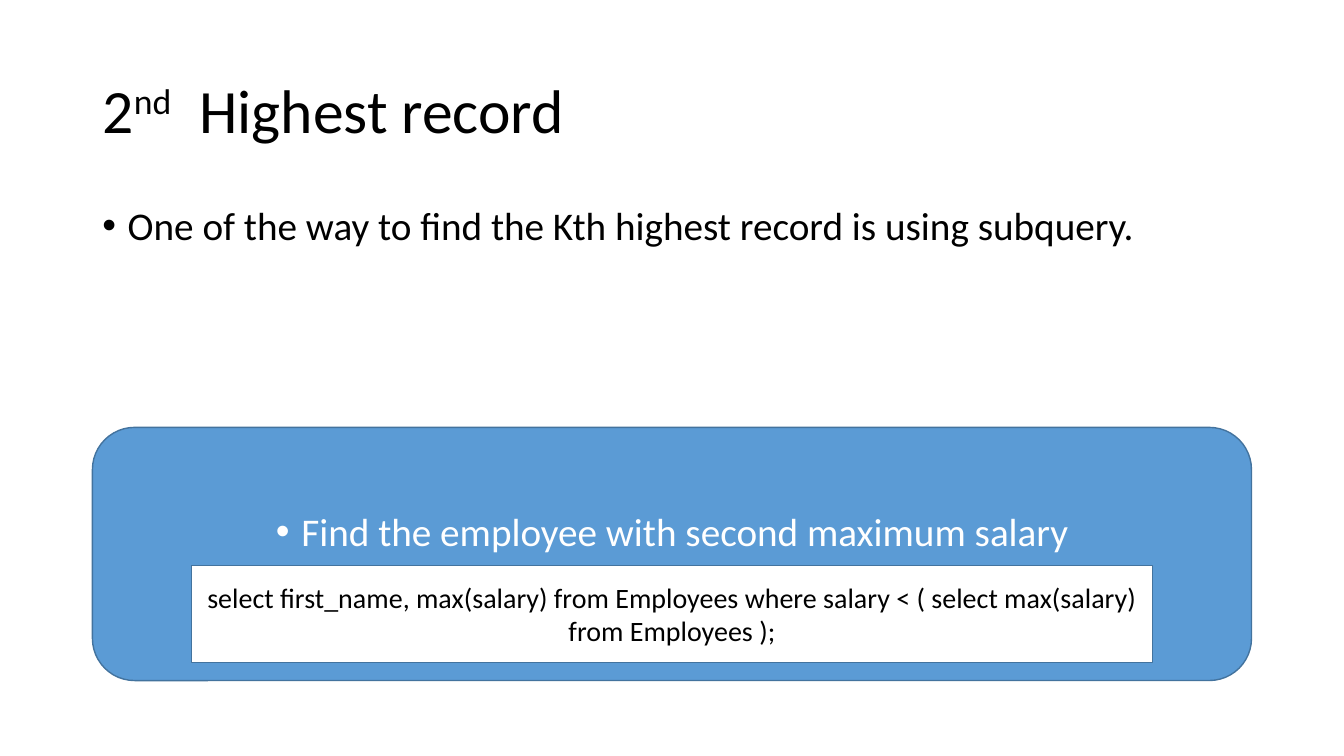
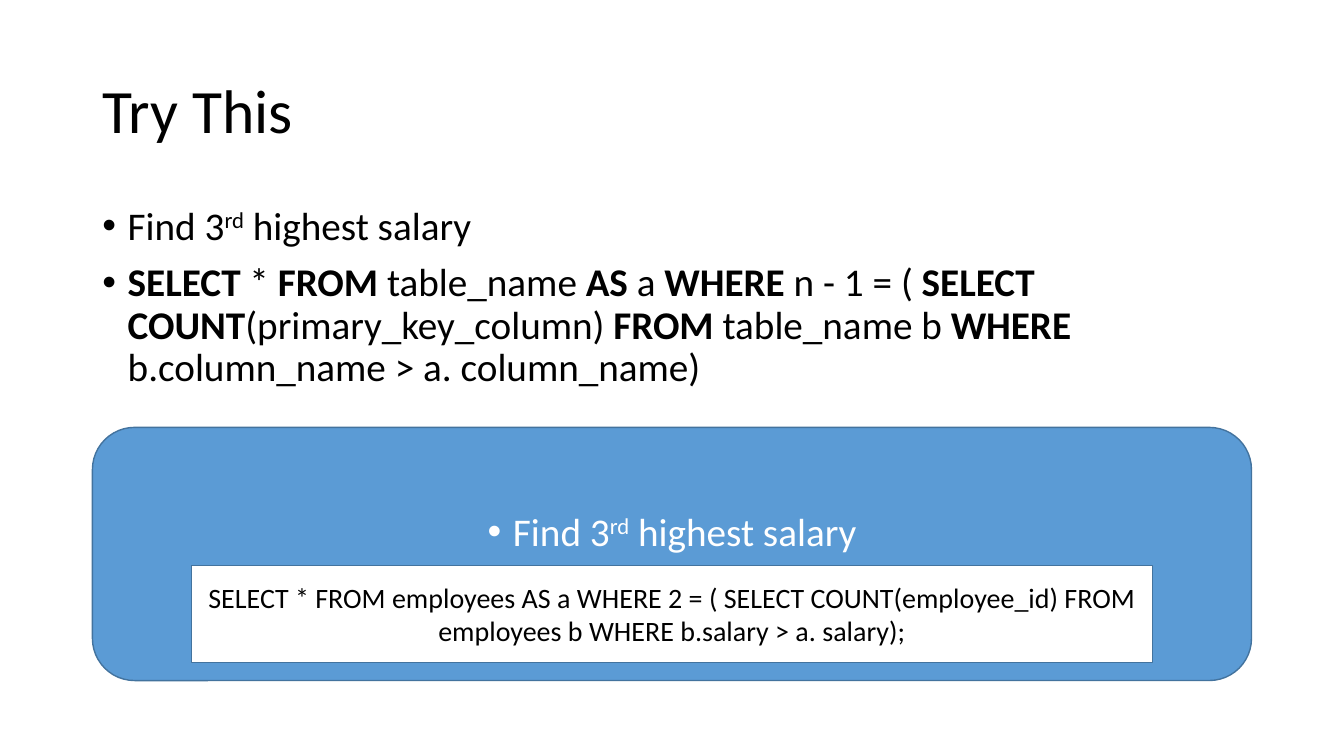
from dataclasses import dataclass
from typing import NamedTuple

from lxml.etree import SubElement
from pptx import Presentation
from pptx.dml.color import RGBColor
from pptx.enum.shapes import MSO_SHAPE as Preset
from pptx.enum.text import MSO_ANCHOR as Anchor, MSO_AUTO_SIZE as AutoSize, PP_ALIGN as Align
from pptx.oxml.ns import qn
from pptx.util import Cm, Pt


@dataclass(frozen=True)
class Theme:
    font: str = "Calibri"
    ink: RGBColor = RGBColor(0x00, 0x00, 0x00)
    paper: RGBColor = RGBColor(0xFF, 0xFF, 0xFF)
    accent: RGBColor = RGBColor(0x5B, 0x9B, 0xD5)
    outline: RGBColor = RGBColor(0x43, 0x73, 0x9E)
    title_size: int = 44
    body_size: int = 28
    code_size: int = 20
    line_spacing: float = 0.9
    paragraph_gap: int = 10
    bullet_indent: float = 0.64


class Box(NamedTuple):
    left: float
    top: float
    width: float
    height: float

    def lengths(self):
        return [Cm(value) for value in self]


class Span(NamedTuple):
    text: str
    bold: bool = False
    raised: bool = False
    tracking: int = 0


THEME = Theme()
TITLE_BOX = Box(2.33, 1.02, 29.21, 3.68)
BODY_BOX = Box(2.33, 5.08, 29.21, 12.09)
CALLOUT_BOX = Box(2.33, 10.77, 29.21, 6.38)

THIRD_HIGHEST = [Span("Find 3"), Span("rd", raised=True), Span(" highest salary")]
KTH_QUERY = [
    Span("SELECT", bold=True), Span(" * "),
    Span("FROM ", bold=True), Span("table_name "),
    Span("AS", bold=True), Span(" a "),
    Span("WHERE", bold=True), Span(" n - 1 = ( "),
    Span("SELECT COUNT", bold=True), Span("(primary_key_column) "),
    Span("FROM ", bold=True), Span("table_name b "),
    Span("WHERE ", bold=True), Span("b.column_name > a. column_name)"),
]
SLIDES = [
    {
        "title": [Span("2"), Span("nd", raised=True), Span(" ", tracking=1000),
                  Span("Highest record")],
        "points": [[Span("One of the way to find the Kth highest record is using subquery.")]],
        "task": [Span("Find the employee with second maximum salary")],
        "query": "select first_name, max(salary) from Employees where salary < "
                 "( select max(salary) from Employees );",
    },
    {
        "title": [Span("Try This")],
        "points": [THIRD_HIGHEST, KTH_QUERY],
        "task": THIRD_HIGHEST,
        "query": "SELECT * FROM employees AS a WHERE 2 = ( SELECT COUNT(employee_id) "
                 "FROM employees b WHERE b.salary > a. salary);",
    },
]


def add_bullet(paragraph):
    properties = paragraph._p.get_or_add_pPr()
    indent = Cm(THEME.bullet_indent)
    properties.set("marL", str(indent))
    properties.set("indent", str(-indent))
    SubElement(properties, qn("a:buFont")).set("typeface", "Arial")
    SubElement(properties, qn("a:buChar")).set("char", "•")


def write_paragraph(paragraph, spans, size, color, align=Align.LEFT, bullet=False):
    if bullet:
        add_bullet(paragraph)
    paragraph.alignment = align
    font = paragraph.font
    font.name, font.size = THEME.font, Pt(size)
    font.color.rgb = color
    for span in spans:
        run = paragraph.add_run()
        run.text = span.text
        if span.bold:
            run.font.bold = True
        if span.raised:
            run._r.get_or_add_rPr().set("baseline", "30000")
        if span.tracking:
            run._r.get_or_add_rPr().set("spc", str(span.tracking))


def prepare_frame(shape, anchor):
    frame = shape.text_frame
    frame.word_wrap = True
    frame.auto_size = AutoSize.NONE
    frame.vertical_anchor = anchor
    return frame


def place_title(slide, box, spans):
    title = slide.shapes.title
    title.left, title.top, title.width, title.height = box.lengths()
    paragraph = prepare_frame(title, Anchor.MIDDLE).paragraphs[0]
    paragraph.line_spacing = THEME.line_spacing
    write_paragraph(paragraph, spans, THEME.title_size, THEME.ink)


def add_points(slide, box, points):
    frame = prepare_frame(slide.shapes.add_textbox(*box.lengths()), Anchor.TOP)
    for index, spans in enumerate(points):
        paragraph = frame.add_paragraph() if index else frame.paragraphs[0]
        write_paragraph(paragraph, spans, THEME.body_size, THEME.ink, bullet=True)
        paragraph.line_spacing = THEME.line_spacing
        if index:
            paragraph.space_before = Pt(THEME.paragraph_gap)


def add_panel(slide, preset, box, fill):
    panel = slide.shapes.add_shape(preset, *box.lengths())
    panel.shadow.inherit = False
    panel.fill.solid()
    panel.fill.fore_color.rgb = fill
    panel.line.color.rgb = THEME.outline
    panel.line.width = Pt(1)
    return prepare_frame(panel, Anchor.MIDDLE)


def add_callout(slide, box, task, query):
    """Draw the rounded panel with its task and, near the foot, the query."""
    frame = add_panel(slide, Preset.ROUNDED_RECTANGLE, box, THEME.accent)
    frame.margin_bottom = Cm(1.15)
    paragraph = frame.paragraphs[0]
    write_paragraph(paragraph, task, THEME.body_size, THEME.paper, Align.CENTER, bullet=True)
    paragraph.line_spacing = THEME.line_spacing

    query_box = Box(box.left + 2.5, box.top + 3.48, box.width - 5, 2.44)
    frame = add_panel(slide, Preset.RECTANGLE, query_box, THEME.paper)
    write_paragraph(frame.paragraphs[0], [Span(query)], THEME.code_size, THEME.ink, Align.CENTER)


def add_query_slide(presentation, title, points, task, query):
    title_only = presentation.slide_layouts[5]
    slide = presentation.slides.add_slide(title_only)
    place_title(slide, TITLE_BOX, title)
    add_points(slide, BODY_BOX, points)
    add_callout(slide, CALLOUT_BOX, task, query)


def main():
    presentation = Presentation()
    presentation.slide_width, presentation.slide_height = Cm(33.87), Cm(19.05)
    for content in SLIDES:
        add_query_slide(presentation, **content)
    presentation.save("out.pptx")


if __name__ == "__main__":
    main()
